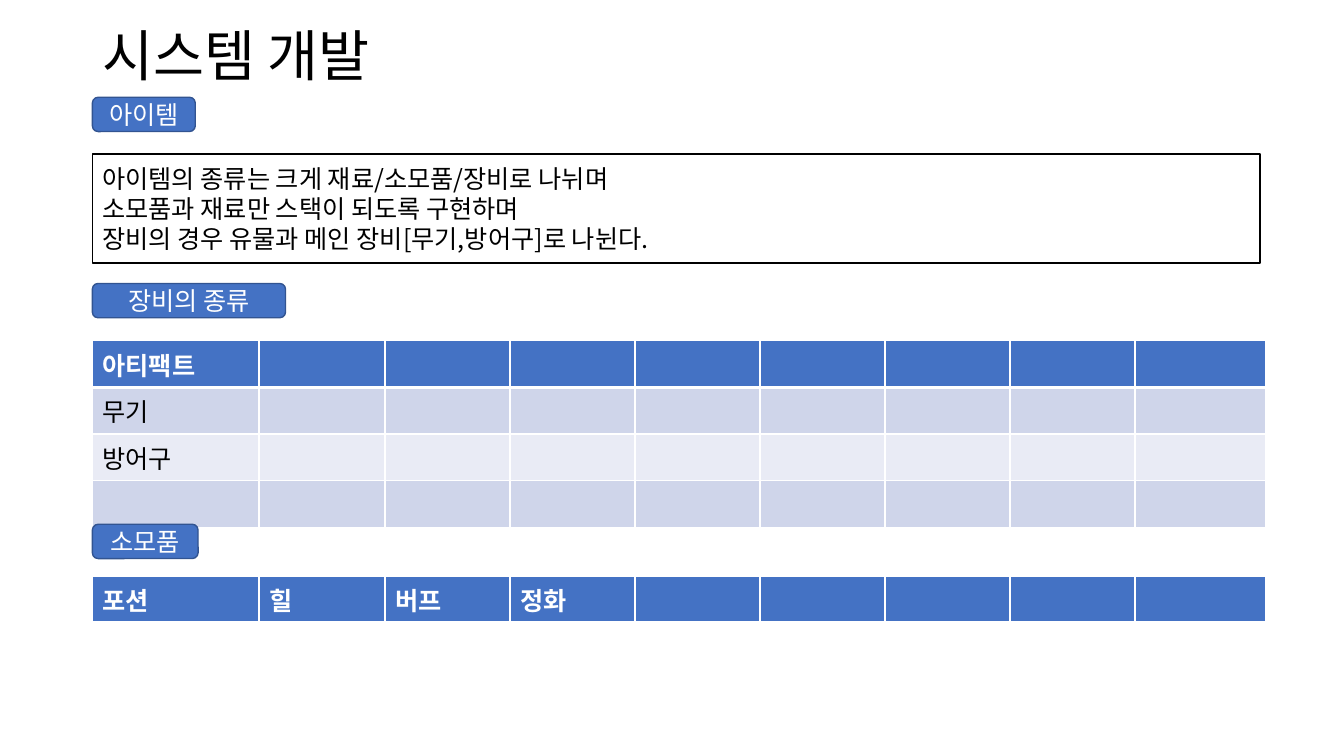
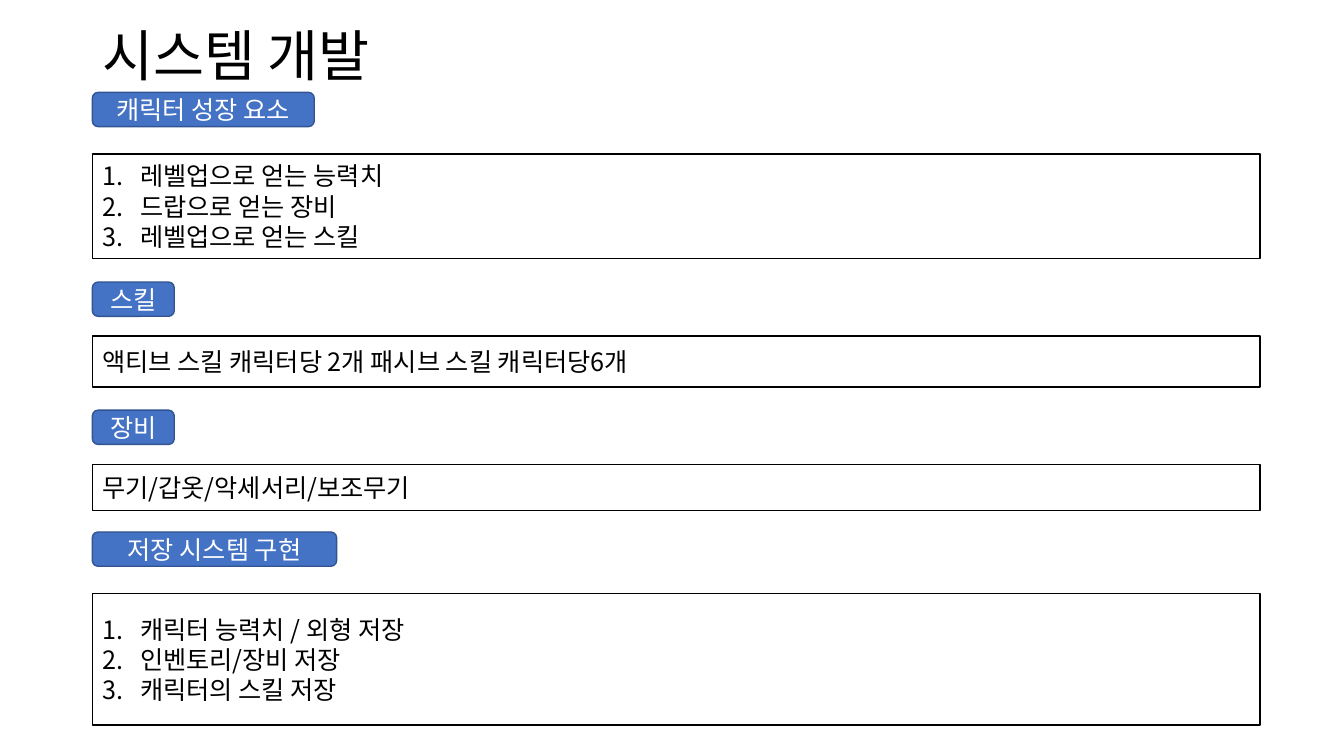
from lxml.etree import SubElement
from pptx import Presentation
from pptx.dml.color import RGBColor
from pptx.enum.shapes import MSO_SHAPE
from pptx.enum.text import MSO_ANCHOR, MSO_AUTO_SIZE, PP_ALIGN
from pptx.oxml.ns import qn
from pptx.util import Pt

COLORS = {
    "text": "000000",
    "white": "FFFFFF",
    "accent": "4472C4",
    "outline": "325491",
    "band_dark": "CFD5EA",
    "band_light": "E9EBF5",
}
FONT = "Noto Sans CJK KR"
LEFT = 66
BOX_WIDTH = 834
LABEL_HEIGHT = 24.5
ROW_HEIGHT = 33.2
COL_WIDTHS = [119, 90] + [89.3] * 6 + [93]
NUMBER_INDENT = 27


def color(name):
    return RGBColor.from_string(COLORS[name])


def place(sp, left, top, width, height):
    sp.left, sp.top, sp.width, sp.height = Pt(left), Pt(top), Pt(width), Pt(height)


def format_text(tf, font_color, size=18, align=PP_ALIGN.LEFT, bold=False):
    for p in tf.paragraphs:
        p.alignment = align
        for r in p.runs:
            r.font.name = FONT
            r.font.size = Pt(size)
            r.font.bold = bold
            r.font.color.rgb = color(font_color)
            SubElement(r.font._element, qn("a:ea"), typeface=FONT)


def number_paragraphs(tf):
    for p in tf.paragraphs:
        pPr = p._p.get_or_add_pPr()
        pPr.set("marL", str(Pt(NUMBER_INDENT)))
        pPr.set("indent", str(-Pt(NUMBER_INDENT)))
        SubElement(pPr, qn("a:buAutoNum"), type="arabicPeriod")


def add_slide(prs, title):
    s = prs.slides.add_slide(prs.slide_layouts[5])
    sp = s.shapes.title
    place(sp, LEFT, 29, 658, 25)
    tf = sp.text_frame
    tf.text = title
    tf.auto_size = MSO_AUTO_SIZE.NONE
    tf.vertical_anchor = MSO_ANCHOR.MIDDLE
    tf.paragraphs[0].line_spacing = 0.9
    format_text(tf, "text", size=39.6)
    return s


def add_panel(s, preset, top, width, height, text, line):
    sp = s.shapes.add_shape(preset, Pt(LEFT), Pt(top), Pt(width), Pt(height))
    sp.shadow.inherit = False
    sp.line.color.rgb = color(line)
    sp.line.width = Pt(1)
    sp.text_frame.text = text
    sp.text_frame.vertical_anchor = MSO_ANCHOR.MIDDLE
    return sp


def add_label(s, top, width, text):
    sp = add_panel(s, MSO_SHAPE.ROUNDED_RECTANGLE, top, width, LABEL_HEIGHT, text, "outline")
    sp.fill.solid()
    sp.fill.fore_color.rgb = color("accent")
    format_text(sp.text_frame, "white", align=PP_ALIGN.CENTER)


def add_box(s, top, height, lines, numbered=False):
    sp = add_panel(s, MSO_SHAPE.RECTANGLE, top, BOX_WIDTH, height, "\n".join(lines), "text")
    sp.fill.background()
    format_text(sp.text_frame, "text")
    if numbered:
        number_paragraphs(sp.text_frame)


def set_borders(cell, row):
    widths = {"L": 1, "R": 1, "T": 3 if row == 1 else 1, "B": 3 if row == 0 else 1}
    tcPr = cell._tc.get_or_add_tcPr()
    for side, width in widths.items():
        ln = SubElement(tcPr, qn(f"a:ln{side}"), w=str(Pt(width)))
        fill = SubElement(ln, qn("a:solidFill"))
        SubElement(fill, qn("a:srgbClr"), val=COLORS["white"])


def add_grid(s, top, rows):
    shape = s.shapes.add_table(len(rows), len(COL_WIDTHS), Pt(LEFT), Pt(top),
                               Pt(sum(COL_WIDTHS)), Pt(ROW_HEIGHT * len(rows)))
    table = shape.table
    for col, width in zip(table.columns, COL_WIDTHS):
        col.width = Pt(width)
    for i, texts in enumerate(rows):
        table.rows[i].height = Pt(ROW_HEIGHT)
        header = i == 0
        band = "accent" if header else "band_dark" if i % 2 else "band_light"
        for j in range(len(COL_WIDTHS)):
            cell = table.cell(i, j)
            set_borders(cell, i)
            cell.fill.solid()
            cell.fill.fore_color.rgb = color(band)
            if j < len(texts):
                cell.text_frame.text = texts[j]
                format_text(cell.text_frame, "white" if header else "text", bold=header)


def build_items(prs):
    s = add_slide(prs, "시스템 개발")
    add_box(s, 110, 78, ["아이템의 종류는 크게 재료/소모품/장비로 나뉘며",
                         "소모품과 재료만 스택이 되도록 구현하며",
                         "장비의 경우 유물과 메인 장비[무기,방어구]로 나뉜다."])
    add_label(s, 69.5, 73.5, "아이템")
    add_label(s, 202.5, 138, "장비의 종류")
    add_grid(s, 243.5, [["아티팩트"], ["무기"], ["방어구"], []])
    add_label(s, 374.5, 75.5, "소모품")
    add_grid(s, 411.5, [["포션", "힐", "버프", "정화"]])


def build_growth(prs):
    s = add_slide(prs, "시스템 개발")
    add_label(s, 66, 158.5, "캐릭터 성장 요소")
    add_box(s, 110, 74.5, ["레벨업으로 얻는 능력치", "드랍으로 얻는 장비",
                           "레벨업으로 얻는 스킬"], numbered=True)
    add_label(s, 201.5, 58.5, "스킬")
    add_box(s, 240, 36.5, ["액티브 스킬 캐릭터당 2개 패시브 스킬 캐릭터당6개"])
    add_label(s, 293, 58.5, "장비")
    add_box(s, 332, 32.5, ["무기/갑옷/악세서리/보조무기"])
    add_label(s, 380, 174.5, "저장 시스템 구현")
    add_box(s, 424, 94, ["캐릭터 능력치 / 외형 저장", "인벤토리/장비 저장",
                         "캐릭터의 스킬 저장"], numbered=True)


def main():
    prs = Presentation()
    prs.slide_width, prs.slide_height = Pt(960), Pt(540)
    build_items(prs)
    build_growth(prs)
    prs.save("out.pptx")


if __name__ == "__main__":
    main()
